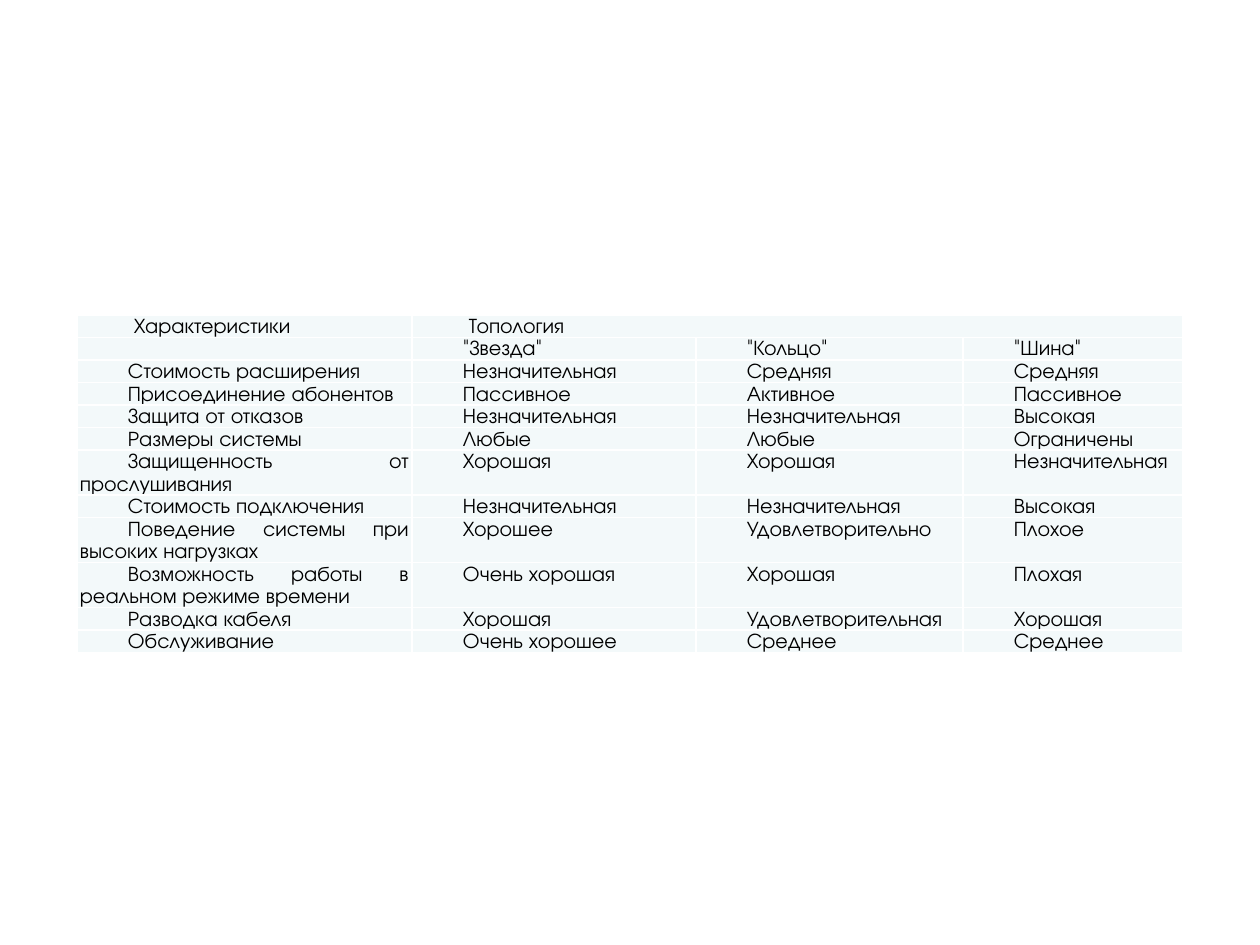
"""Build a slide with a table comparing network topologies."""
from lxml import etree
from pptx import Presentation
from pptx import util as u
from pptx.dml.color import RGBColor
from pptx.enum import text
from pptx.oxml.ns import qn

PX = 914400 / 126
COLORS = {"cell": "F3F9FA", "text": "000000", "border": "FFFFFF"}
FONT = "TeX Gyre Adventor"
SIZE = u.Pt(12)
COLUMNS = (335, 284, 267, 220)
ROWS = (
    ("Характеристики", "Топология", "", ""),
    ("", '"Звезда"', '"Кольцо"', '"Шина"'),
    ("Стоимость расширения", "Незначительная", "Средняя", "Средняя"),
    ("Присоединение абонентов", "Пассивное", "Активное", "Пассивное"),
    ("Защита от отказов", "Незначительная", "Незначительная", "Высокая"),
    ("Размеры системы", "Любые", "Любые", "Ограничены"),
    ("Защищенность от прослушивания", "Хорошая", "Хорошая", "Незначительная"),
    ("Стоимость подключения", "Незначительная", "Незначительная", "Высокая"),
    ("Поведение системы при высоких нагрузках", "Хорошее", "Удовлетворительно", "Плохое"),
    ("Возможность работы в реальном режиме времени", "Очень хорошая", "Хорошая", "Плохая"),
    ("Разводка кабеля", "Хорошая", "Удовлетворительная", "Хорошая"),
    ("Обслуживание", "Очень хорошее", "Среднее", "Среднее"),
)


def px(n):
    """Turn pixels into EMU."""
    return u.Emu(round(n * PX))


def set_borders(cell):
    """Draw a thin line on each side of a cell."""
    tc_pr = cell._tc.get_or_add_tcPr()
    for i, side in enumerate(("lnL", "lnR", "lnT", "lnB")):
        ln = etree.Element(qn(f"a:{side}"), w=str(u.Pt(1)))
        fill = etree.SubElement(ln, qn("a:solidFill"))
        etree.SubElement(fill, qn("a:srgbClr"), val=COLORS["border"])
        tc_pr.insert(i, ln)


def set_cell(cell, words, margin):
    """Fill a cell with justified text that has a first-line indent."""
    cell.fill.solid()
    cell.fill.fore_color.rgb = RGBColor.from_string(COLORS["cell"])
    set_borders(cell)
    cell.margin_left = cell.margin_right = px(margin)
    cell.margin_top = cell.margin_bottom = 0
    p = cell.text_frame.paragraphs[0]
    p.text = words
    p.alignment = text.PP_ALIGN.JUSTIFY
    p.line_spacing = 1.15
    p_pr = p._p.get_or_add_pPr()
    p_pr.set("marL", "0")
    p_pr.set("indent", str(px(48)))
    for r in p.runs:
        r.font.name = FONT
        r.font.size = SIZE
        r.font.color.rgb = RGBColor.from_string(COLORS["text"])
    if not words:
        end = etree.SubElement(p._p, qn("a:endParaRPr"), sz=str(int(SIZE.pt * 100)))
        etree.SubElement(end, qn("a:latin"), typeface=FONT)


def add_topology_table(s):
    """Add the table with one row for each property."""
    sp = s.shapes.add_table(len(ROWS), len(COLUMNS), px(77), px(315),
                            px(sum(COLUMNS)), px(len(ROWS)))
    table = sp.table
    for column, width in zip(table.columns, COLUMNS):
        column.width = px(width)
    for i, row in enumerate(ROWS):
        for j, words in enumerate(row):
            set_cell(table.cell(i, j), words, 3 if i else 9)
    table.cell(0, 1).merge(table.cell(0, 3))


def main():
    """Make the presentation and save it."""
    prs = Presentation()
    prs.slide_width, prs.slide_height = px(1260), px(945)
    s = prs.slides.add_slide(prs.slide_layouts[6])
    add_topology_table(s)
    prs.save("out.pptx")


if __name__ == "__main__":
    main()
